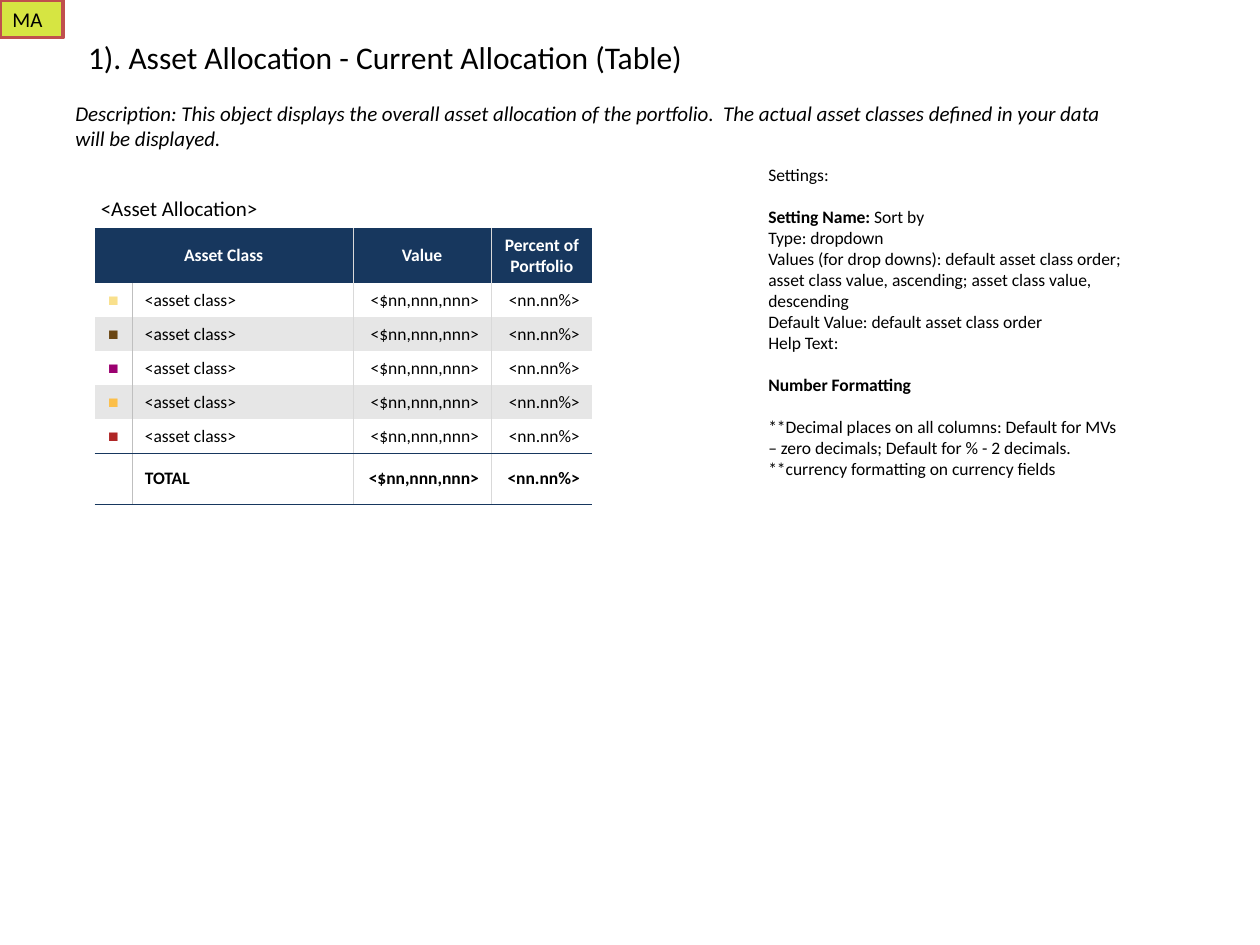
from lxml import etree
from pptx import Presentation
from pptx.dml.color import RGBColor
from pptx.enum.shapes import MSO_SHAPE
from pptx.enum.text import MSO_ANCHOR as ANCHOR, PP_ALIGN as ALIGN
from pptx.oxml.ns import qn
from pptx.util import Inches, Pt

COLORS = {
    "text": "000000",
    "white": "FFFFFF",
    "navy": "17375E",
    "band": "E6E6E6",
    "rule": "D9D9D9",
    "key rule": "BFBFBF",
    "badge": "D6E542",
    "badge line": "C0504D",
}
CLASS_COLORS = ["F9E08C", "6B4714", "9B0070", "FCBF49", "AF2626"]


def write(paragraph, text, size=10, color=COLORS["text"], font="Calibri",
          bold=False, italic=False, align=ALIGN.LEFT):
    """Append one formatted run to the paragraph."""
    paragraph.alignment = align
    run = paragraph.add_run()
    run.text = text
    run.font.name = font
    run.font.size = Pt(size)
    run.font.bold = bold
    run.font.italic = italic
    run.font.color.rgb = RGBColor.from_string(color)


def set_borders(cell, borders):
    """Draw the sides named in borders (L, R, T, B) and clear the others."""
    properties = cell._tc.get_or_add_tcPr()
    for side in "LRTB":
        line = etree.SubElement(properties, qn(f"a:ln{side}"), w=str(Pt(0.25)))
        if side in borders:
            fill = etree.SubElement(line, qn("a:solidFill"))
            etree.SubElement(fill, qn("a:srgbClr"), val=borders[side])
        else:
            etree.SubElement(line, qn("a:noFill"))


presentation = Presentation()
presentation.slide_width = Inches(10)
presentation.slide_height = Inches(7.5)
slide = presentation.slides.add_slide(presentation.slide_layouts[6])

# Asset allocation table
column_widths = [0.3, 1.75, 1.1, 0.8]
row_heights = [0.31, 0.44] + [0.27] * len(CLASS_COLORS) + [0.38]
values = ["<asset class>", "<$nn,nnn,nnn>", "<nn.nn%>"]
rows = [["<Asset Allocation>", "", "", ""],
        ["Asset Class", "", "Value", "Percent of Portfolio"]]
rows += [["■"] + values for _ in CLASS_COLORS]
rows += [["", "TOTAL"] + values[1:]]
last_row, last_column = len(rows) - 1, len(column_widths) - 1

table = slide.shapes.add_table(
    len(rows), len(column_widths), Inches(0.75), Inches(1.5),
    Inches(sum(column_widths)), Inches(sum(row_heights))).table
table.first_row = table.horz_banding = False
for column, width in zip(table.columns, column_widths):
    column.width = Inches(width)
for row, height in zip(table.rows, row_heights):
    row.height = Inches(height)
table.cell(0, 0).merge(table.cell(0, last_column))
table.cell(1, 0).merge(table.cell(1, 1))

for r, row in enumerate(rows):
    for c, text in enumerate(row):
        cell = table.cell(r, c)
        is_title, is_header, is_total = r == 0, r == 1, r == last_row
        is_key = c == 0 and not is_title and not is_header

        borders = {}
        if not is_title:
            if c > 0 and not (is_header and c == 1):
                borders["L"] = COLORS["key rule" if c == 1 else "rule"]
            if c < last_column:
                borders["R"] = COLORS["key rule" if is_key else "rule"]
        if is_total:
            borders["T"] = COLORS["navy"]
        if r >= last_row - 1:
            borders["B"] = COLORS["navy"]
        set_borders(cell, borders)

        if is_title:
            cell.fill.background()
        else:
            banded = not is_total and r % 2 == 1
            fill = "navy" if is_header else "band" if banded else "white"
            cell.fill.solid()
            cell.fill.fore_color.rgb = RGBColor.from_string(COLORS[fill])
        cell.vertical_anchor = ANCHOR.BOTTOM if is_title else ANCHOR.MIDDLE
        cell.margin_left = Inches(0.05 if is_title else 0.1)

        if text:
            if is_header or is_key:
                align = ALIGN.CENTER
            else:
                align = ALIGN.RIGHT if c > 1 else ALIGN.LEFT
            color = COLORS["white" if is_header else "text"]
            write(cell.text_frame.paragraphs[0], text,
                  size=12 if is_title else 10,
                  color=CLASS_COLORS[r - 2] if is_key else color,
                  font="Arial" if is_key else "Calibri",
                  bold=is_header or is_total, align=align)

# Title
title = slide.shapes.add_textbox(
    Inches(0.6), Inches(0.25), Inches(4.95), Inches(0.4)).text_frame
title.word_wrap = False
write(title.paragraphs[0], "1). Asset Allocation - Current Allocation (Table)", size=18)

# Description
description = slide.shapes.add_textbox(
    Inches(0.5), Inches(0.75), Inches(8.5), Inches(0.5)).text_frame
description.word_wrap = True
description.vertical_anchor = ANCHOR.MIDDLE
write(description.paragraphs[0],
      "Description: This object displays the overall asset allocation of the "
      "portfolio.  The actual asset classes defined in your data will be displayed.",
      size=12, italic=True)

# Settings: each line is a bold part, a plain part and whether a gap comes before
settings_lines = [
    ("", "Settings:", False),
    ("Setting Name:", " Sort by", True),
    ("", "Type: dropdown", False),
    ("", "Values (for drop downs): default asset class order; asset class value, "
         "ascending; asset class value, descending", False),
    ("", "Default Value: default asset class order", False),
    ("", "Help Text:", False),
    ("Number Formatting", "", True),
    ("", "**Decimal places on all columns: Default for MVs – zero decimals; "
         "Default for % - 2 decimals.", True),
    ("", "**currency formatting on currency fields", False),
]
settings = slide.shapes.add_textbox(
    Inches(6), Inches(1.25), Inches(3), Inches(3.11)).text_frame
settings.word_wrap = True
for index, (bold_text, plain_text, gap) in enumerate(settings_lines):
    paragraph = settings.add_paragraph() if index else settings.paragraphs[0]
    if gap:
        paragraph.space_before = Pt(12)
    if bold_text:
        write(paragraph, bold_text, bold=True)
    if plain_text:
        write(paragraph, plain_text)

# Corner badge
badge = slide.shapes.add_shape(
    MSO_SHAPE.RECTANGLE, Inches(0), Inches(0), Inches(0.5), Inches(0.3))
badge.shadow.inherit = False
badge.fill.solid()
badge.fill.fore_color.rgb = RGBColor.from_string(COLORS["badge"])
badge.line.color.rgb = RGBColor.from_string(COLORS["badge line"])
badge.line.width = Pt(2)
badge.text_frame.vertical_anchor = ANCHOR.TOP
write(badge.text_frame.paragraphs[0], "MA", size=12)

presentation.save("out.pptx")
